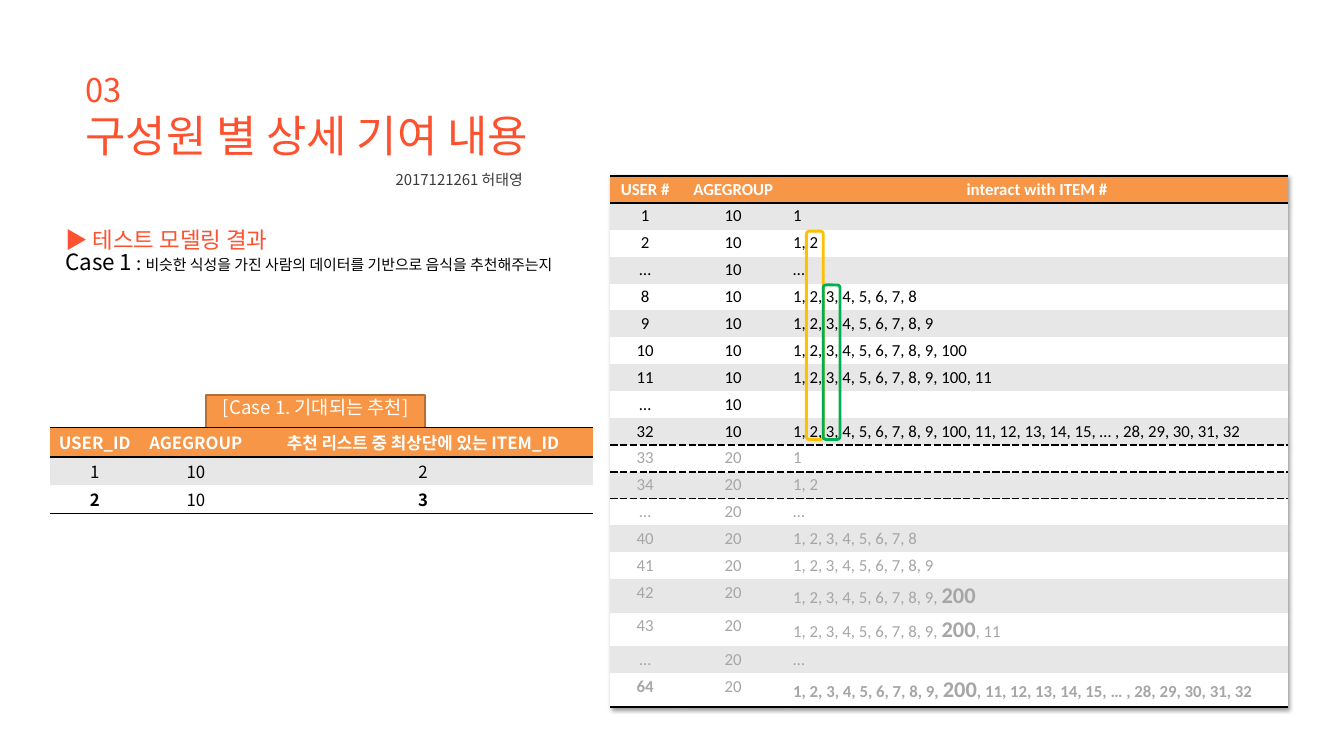
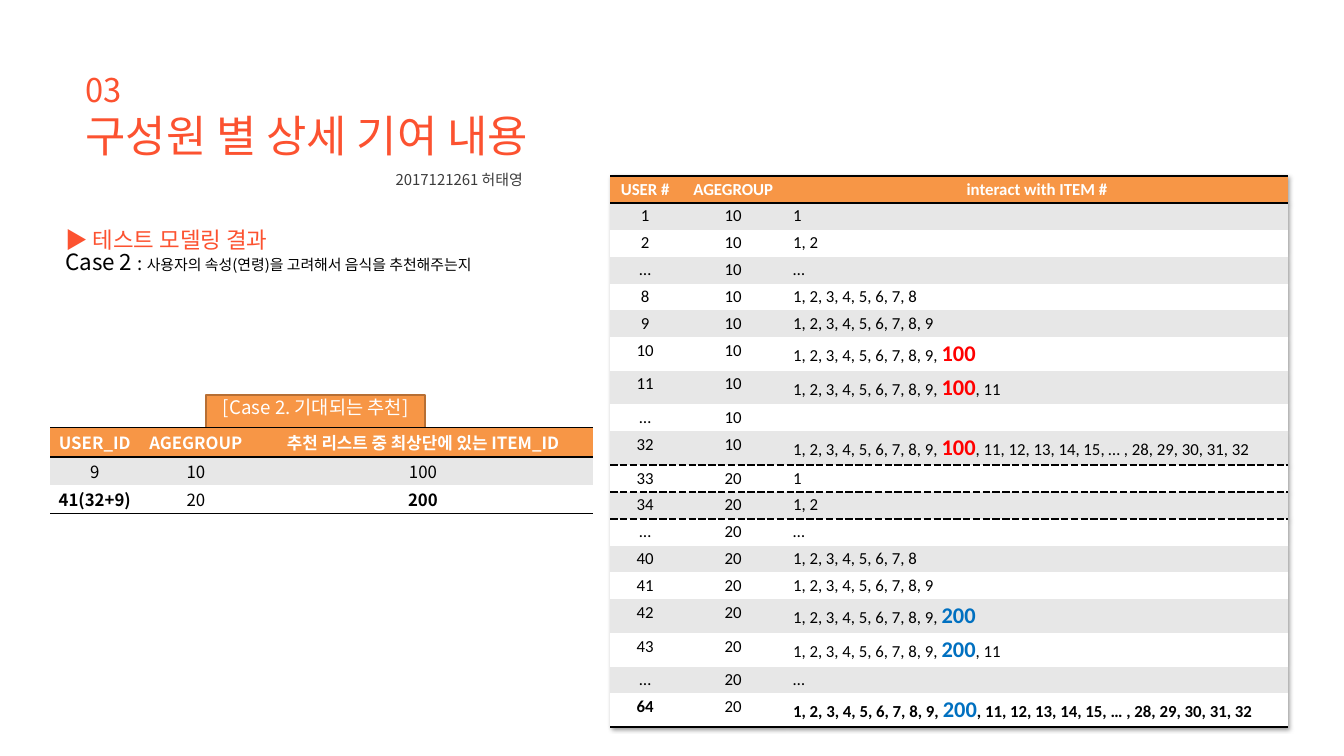
from lxml.etree import SubElement
from pptx import Presentation
from pptx.dml.color import RGBColor
from pptx.enum.shapes import MSO_SHAPE as SHAPE
from pptx.enum.text import MSO_ANCHOR as ANCHOR, MSO_AUTO_SIZE as AUTO_SIZE, PP_ALIGN as ALIGN
from pptx.oxml import parse_xml
from pptx.oxml.ns import nsdecls, qn
from pptx.util import Pt

CORAL = RGBColor(0xFC, 0x52, 0x30)
ORANGE = RGBColor(0xF7, 0x96, 0x46)
BROWN = RGBColor(0xB7, 0x6F, 0x34)
BLACK = RGBColor(0, 0, 0)
WHITE = RGBColor(0xFF, 0xFF, 0xFF)
DARK = RGBColor(0x3B, 0x3B, 0x3B)
BAND = RGBColor(0xE7, 0xE7, 0xE7)
MUTED = RGBColor(0xA6, 0xA6, 0xA6)
RED = RGBColor(0xFF, 0, 0)
BLUE = RGBColor(0, 0x70, 0xC0)
AMBER = RGBColor(0xFF, 0xC0, 0)
GREEN = RGBColor(0, 0xB0, 0x50)
KOREAN, LATIN = "Noto Sans CJK KR", "Calibri"
NO_STYLE = "{2D5ABB26-0587-4C30-8999-92F81FD0307C}"
SHADOW = (
    f'<a:effectLst {nsdecls("a")}><a:outerShdw blurRad="50800" dist="38100" dir="2700000" algn="tl">'
    '<a:srgbClr val="000000"><a:alpha val="40000"/></a:srgbClr></a:outerShdw></a:effectLst>'
)

EIGHT = "1, 2, 3, 4, 5, 6, 7, 8"
NINE = EIGHT + ", 9"
TAIL = ", 11, 12, 13, 14, 15, … , 28, 29, 30, 31, 32"
INTERACTIONS = [
    ("1", "10", "1"),
    ("2", "10", "1, 2"),
    ("…", "10", "…"),
    ("8", "10", EIGHT),
    ("9", "10", NINE),
    ("10", "10", NINE + ", 100"),
    ("11", "10", NINE + ", 100, 11"),
    ("…", "10", ""),
    ("32", "10", NINE + ", 100" + TAIL),
    ("33", "20", "1"),
    ("34", "20", "1, 2"),
    ("…", "20", "…"),
    ("40", "20", EIGHT),
    ("41", "20", NINE),
    ("42", "20", NINE + ", 200"),
    ("43", "20", NINE + ", 200, 11"),
    ("…", "20", "…"),
    ("64", "20", NINE + ", 200" + TAIL),
]
CASES = [
    {
        "label": "[Case 1. 기대되는 추천]",
        "question": [("Case 1", 24), (" ", 18), (": ", 20),
                     ("비슷한 식성을 가진 사람의 데이터를 기반으로 음식을 추천해주는지", 16)],
        "expected": [("1", "10", "2"), ("2", "10", "3")],
        "age_colors": {"10": BLACK, "20": MUTED},
        "highlights": {"200": MUTED},
        "marks": [(864, 247.7, 223.2, AMBER), (882, 305.3, 165.6, GREEN)],
    },
    {
        "label": "[Case 2. 기대되는 추천]",
        "question": [("Case 2 ", 24), (": ", 20),
                     ("사용자의 속성(연령)을 고려해서 음식을 추천해주는지", 16)],
        "expected": [("9", "10", "100"), ("41(32+9)", "20", "200")],
        "age_colors": {"10": BLACK, "20": BLACK},
        "highlights": {"100": RED, "200": BLUE},
        "marks": [],
    },
]


def add_run(paragraph, text, size, color, font=KOREAN, bold=False):
    run = paragraph.add_run()
    run.text = text
    run.font.size = Pt(size)
    run.font.bold = bold
    run.font.color.rgb = color
    run.font.name = font
    SubElement(run.font._element, qn("a:ea"), typeface=font)


def add_border(cell, side, width, dash="solid"):
    cell._tc.get_or_add_tcPr().insert(0, parse_xml(
        f'<a:{side} {nsdecls("a")} w="{Pt(width)}"><a:solidFill><a:srgbClr val="{BLACK}"/></a:solidFill>'
        f'<a:prstDash val="{dash}"/></a:{side}>'))


prs = Presentation()
prs.slide_width, prs.slide_height = Pt(1440), Pt(810)

for case in CASES:
    slide = prs.slides.add_slide(prs.slide_layouts[1])
    shapes = slide.shapes
    title, findings = shapes.title, slide.placeholders[1]
    number, author = [shapes.add_textbox(0, 0, 0, 0) for _ in range(2)]

    for box, left, top, width, height, margin in [
        (title, 84.2, 121, 506.2, 85, 0),
        (number, 84.2, 77.8, 157, 62.6, 0),
        (author, 416.9, 182.9, 172.8, 23, 0),
        (findings, 62.6, 241.2, 1314, 65.5, 0.5),
    ]:
        box.left, box.top, box.width, box.height = Pt(left), Pt(top), Pt(width), Pt(height)
        frame = box.text_frame
        frame.word_wrap = True
        frame.auto_size = AUTO_SIZE.NONE
        frame.vertical_anchor = ANCHOR.TOP
        frame.margin_left = frame.margin_right = Pt(7.2)
        frame.margin_top, frame.margin_bottom = Pt(margin), 0

    heading, question = findings.text_frame.paragraphs[0], findings.text_frame.add_paragraph()
    for paragraph, spacing, runs in [
        (title.text_frame.paragraphs[0], 0.95, [("구성원 별 상세 기여 내용", 47, CORAL)]),
        (number.text_frame.paragraphs[0], 0.95, [("03", 35, CORAL)]),
        (author.text_frame.paragraphs[0], 1.0, [("2017121261 허태영", 16, DARK)]),
        (heading, 1.0, [("▶\u00a0테스트 모델링 결과".replace("\u00a0", " "), 24, CORAL)]),
        (question, 0.82, [(text, size, BLACK) for text, size in case["question"]]),
    ]:
        paragraph.alignment = ALIGN.JUSTIFY
        paragraph.line_spacing = spacing
        paragraph.space_before = Pt(0)
        for text, size, color in runs:
            add_run(paragraph, text, size, color)
    for paragraph in (heading, question):
        properties = paragraph._p.get_or_add_pPr()
        properties.set("marL", "0")
        properties.set("indent", "0")
        SubElement(properties, qn("a:buNone"))

    label = shapes.add_shape(SHAPE.RECTANGLE, Pt(221), Pt(423.4), Pt(234.7), Pt(74.9))
    label.shadow.inherit = False
    label.fill.solid()
    label.fill.fore_color.rgb = ORANGE
    label.line.color.rgb = BROWN
    label.line.width = Pt(2)
    label.text_frame.word_wrap = True
    label.text_frame.vertical_anchor = ANCHOR.TOP
    label.text_frame.margin_top = Pt(0.5)
    label.text_frame.paragraphs[0].alignment = ALIGN.CENTER
    add_run(label.text_frame.paragraphs[0], case["label"], 20, WHITE)

    expected = [("USER_ID", "AGEGROUP", "추천 리스트 중 최상단에 있는 ITEM_ID")] + case["expected"]
    interactions = [("USER #", "AGEGROUP", "interact with ITEM #")] + INTERACTIONS
    for rows, left, top, widths, font, margin, anchor in [
        (expected, 54, 457.9, (95, 121.7, 365), KOREAN, 2, ANCHOR.MIDDLE),
        (interactions, 653.8, 188.6, (74.9, 113.8, 537.1), LATIN, 3.3, ANCHOR.TOP),
    ]:
        is_log = rows is interactions
        table = shapes.add_table(len(rows), 3, Pt(left), Pt(top), Pt(sum(widths)), Pt(91.8)).table
        properties = table._tbl.tblPr
        properties.find(qn("a:tableStyleId")).text = NO_STYLE
        if is_log:
            properties.insert(0, parse_xml(SHADOW))
        for column, width in zip(table.columns, widths):
            column.width = Pt(width)
        for r, (row, values) in enumerate(zip(table.rows, rows)):
            user, age, items = values
            is_header, is_last = r == 0, r == len(rows) - 1
            marked = next((mark for mark in case["highlights"] if is_log and mark in items), None)
            if is_log:
                row.height = Pt(36 if marked else 28.8)
            else:
                row.height = Pt(31.6 if is_header else 30.4)
            color = WHITE if is_header else case["age_colors"][age] if is_log else BLACK
            for c, (cell, value) in enumerate(zip(row.cells, values)):
                cell.fill.solid()
                cell.fill.fore_color.rgb = ORANGE if is_header else BAND if r % 2 else WHITE
                cell.margin_top = cell.margin_bottom = Pt(margin)
                cell.vertical_anchor = anchor
                paragraph = cell.text_frame.paragraphs[0]
                paragraph.alignment = ALIGN.LEFT if is_log and c == 2 and not is_header else ALIGN.CENTER
                bold = is_header or (is_last and c != 1)
                if c == 2 and marked:
                    before, mark, after = value.partition(marked)
                    add_run(paragraph, before, 18, color, font, bold)
                    add_run(paragraph, mark, 24, case["highlights"][mark], font, True)
                    if after:
                        add_run(paragraph, after, 18, color, font, bold)
                elif value:
                    add_run(paragraph, value, 18, color, font, bold)
                if is_header or is_last:
                    add_border(cell, "lnB", 2)
                if is_header:
                    add_border(cell, "lnT", 2)
                if is_log and user in ("32", "33"):
                    add_border(cell, "lnB", 2.25, "dash")
                if is_log and user in ("33", "34"):
                    add_border(cell, "lnT", 2.25, "dash")

    for left, top, height, color in case["marks"]:
        mark = shapes.add_shape(SHAPE.ROUNDED_RECTANGLE, Pt(left), Pt(top), Pt(18), Pt(height))
        mark.shadow.inherit = False
        mark.fill.background()
        mark.line.color.rgb = color
        mark.line.width = Pt(3)

prs.save("out.pptx")
